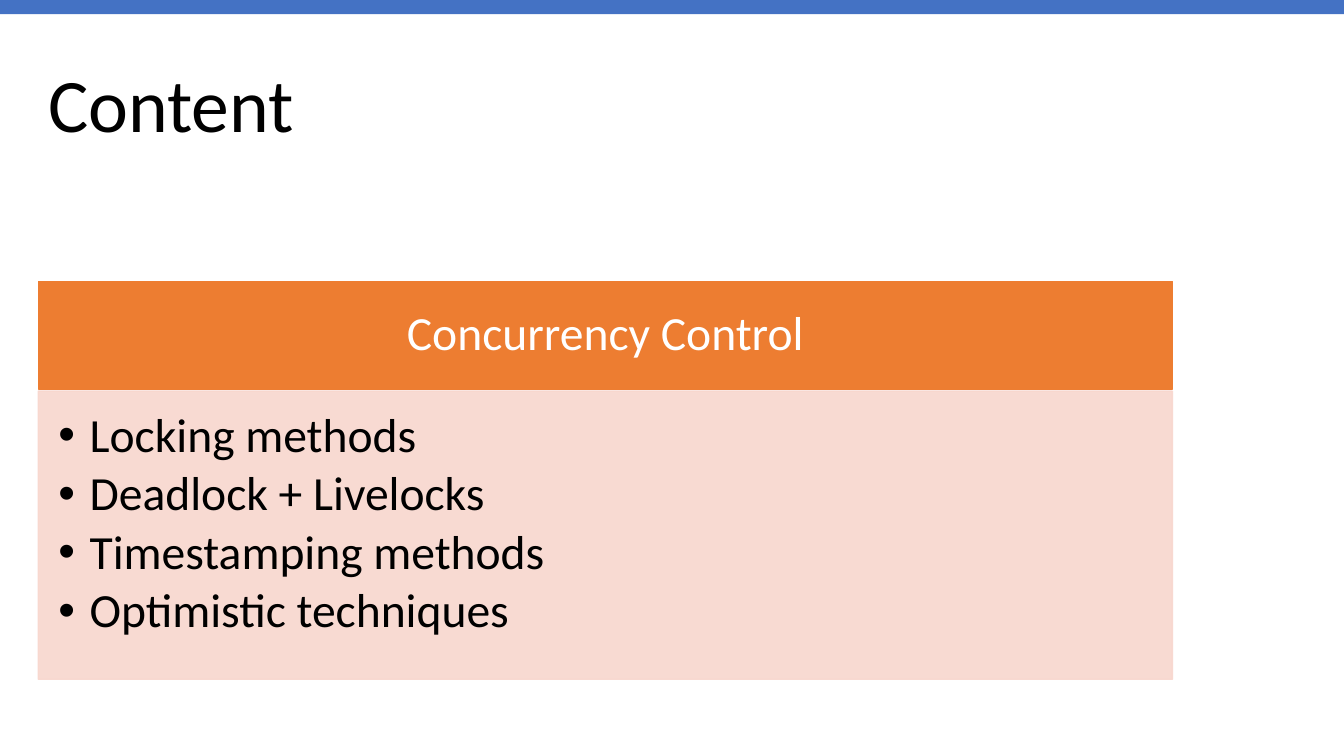
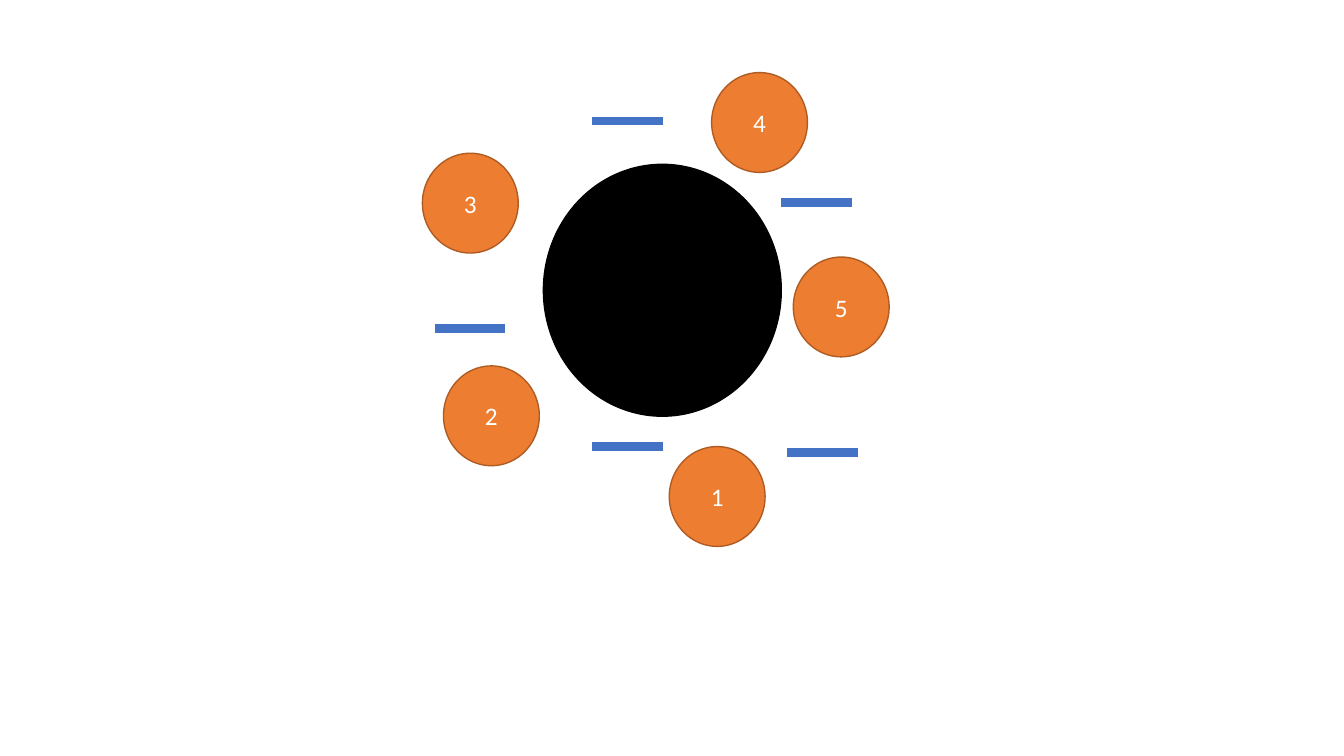
from dataclasses import dataclass

from lxml import etree
from pptx import Presentation
from pptx.dml.color import RGBColor
from pptx.enum.shapes import MSO_CONNECTOR, MSO_SHAPE
from pptx.enum.text import MSO_ANCHOR, PP_ALIGN
from pptx.oxml.ns import qn
from pptx.shapes.autoshape import Shape
from pptx.slide import Slide
from pptx.util import Emu, Inches, Pt

RECTANGLE, OVAL = MSO_SHAPE.RECTANGLE, MSO_SHAPE.OVAL
STRAIGHT = MSO_CONNECTOR.STRAIGHT
TOP, MIDDLE = MSO_ANCHOR.TOP, MSO_ANCHOR.MIDDLE
LEFT, CENTER = PP_ALIGN.LEFT, PP_ALIGN.CENTER

BLACK = RGBColor(0x00, 0x00, 0x00)
WHITE = RGBColor(0xFF, 0xFF, 0xFF)
BLUE = RGBColor(0x44, 0x72, 0xC4)
ORANGE = RGBColor(0xED, 0x7D, 0x31)
DARK_ORANGE = RGBColor(0xAF, 0x5C, 0x24)
PALE_ORANGE = RGBColor(0xF8, 0xD7, 0xCE)

FONT = "Calibri"
SLIDE_WIDTH, SLIDE_HEIGHT = Inches(13.33), Inches(7.5)
BLANK_LAYOUT = 6
LINE_SPACING = 0.9


@dataclass(frozen=True)
class Area:
    """A rectangle in percent of the slide's width and height."""
    left: float
    top: float
    width: float
    height: float

    def box(self) -> tuple[Emu, Emu, Emu, Emu]:
        return (across(self.left), down(self.top),
                across(self.width), down(self.height))


@dataclass(frozen=True)
class TextStyle:
    size: float
    color: RGBColor
    align: PP_ALIGN = LEFT
    anchor: MSO_ANCHOR = MIDDLE
    line_spacing: float = 1.0
    space_after: float = 0
    margins: tuple[float, float, float, float] = (0.1, 0.05, 0.1, 0.05)


@dataclass(frozen=True)
class Seat:
    number: int
    left: float
    top: float


@dataclass(frozen=True)
class Fork:
    left: float
    top: float


TITLE_STYLE = TextStyle(54, BLACK, line_spacing=LINE_SPACING)
HEADER_STYLE = TextStyle(34, WHITE, CENTER, line_spacing=LINE_SPACING,
                         margins=(0.26, 0.15, 0.26, 0.15))
LIST_STYLE = TextStyle(34, BLACK, anchor=TOP, line_spacing=LINE_SPACING,
                       space_after=5.1, margins=(0.2, 0.2, 0.26, 0.3))
SEAT_STYLE = TextStyle(18, WHITE, CENTER)

TOP_BAND = Area(0, 0, 100, 1.87)
TITLE = Area(2.85, 4.67, 93.6, 19.33)
HEADER = Area(2.85, 37.2, 84.38, 14.27)
PANEL = Area(2.85, 51.73, 84.38, 38.13)
TOPICS = ["Locking methods", "Deadlock + Livelocks",
          "Timestamping methods", "Optimistic techniques"]
BULLET_INDENT = Inches(0.31)

ROUND_TABLE = Area(40.43, 21.73, 17.7, 33.33)
SEAT_WIDTH, SEAT_HEIGHT = 7.13, 13.2
SEATS = [Seat(3, 31.43, 20.27), Seat(2, 33, 48.4), Seat(5, 59.03, 34),
         Seat(1, 49.8, 59.07), Seat(4, 52.95, 9.6)]
FORK_LENGTH = 5.27
FORKS = [Fork(32.33, 43.47), Fork(44.03, 16), Fork(58.58, 59.87),
         Fork(58.13, 26.8), Fork(44.03, 59.07)]


def across(percent: float) -> Emu:
    return Emu(round(SLIDE_WIDTH * percent / 100))


def down(percent: float) -> Emu:
    return Emu(round(SLIDE_HEIGHT * percent / 100))


def write(shape: Shape, lines: list[str], style: TextStyle) -> None:
    frame = shape.text_frame
    frame.word_wrap = True
    frame.vertical_anchor = style.anchor
    (frame.margin_left, frame.margin_top,
     frame.margin_right, frame.margin_bottom) = map(Inches, style.margins)
    frame.text = "\n".join(lines)
    for paragraph in frame.paragraphs:
        paragraph.alignment = style.align
        paragraph.line_spacing = style.line_spacing
        paragraph.space_after = Pt(style.space_after)
        for run in paragraph.runs:
            run.font.name = FONT
            run.font.size = Pt(style.size)
            run.font.color.rgb = style.color


def add_bullets(shape: Shape) -> None:
    for paragraph in shape.text_frame.paragraphs:
        properties = paragraph._p.get_or_add_pPr()
        properties.set("marL", str(BULLET_INDENT))
        properties.set("indent", str(-BULLET_INDENT))
        etree.SubElement(properties, qn("a:buFont"), typeface="Arial")
        etree.SubElement(properties, qn("a:buChar"), char="•")


def make_translucent(shape: Shape, opacity: int) -> None:
    """Set the opacity, in percent, of the shape's fill and outline."""
    for color in shape._element.spPr.iter(qn("a:srgbClr")):
        etree.SubElement(color, qn("a:alpha"), val=str(opacity * 1000))


def add_figure(slide: Slide, kind: MSO_SHAPE, area: Area, fill: RGBColor,
               outline: RGBColor | None = None) -> Shape:
    shape = slide.shapes.add_shape(kind, *area.box())
    shape.shadow.inherit = False
    shape.fill.solid()
    shape.fill.fore_color.rgb = fill
    if outline is None:
        shape.line.fill.background()
    else:
        shape.line.color.rgb = outline
        shape.line.width = Pt(1)
    return shape


def add_title(slide: Slide, title: str) -> None:
    write(slide.shapes.add_textbox(*TITLE.box()), [title], TITLE_STYLE)
    add_figure(slide, RECTANGLE, TOP_BAND, BLUE)


def add_fork(slide: Slide, fork: Fork) -> None:
    height = down(fork.top)
    line = slide.shapes.add_connector(
        STRAIGHT, across(fork.left), height,
        across(fork.left + FORK_LENGTH), height)
    line.line.color.rgb = BLUE
    line.line.width = Pt(6)
    etree.SubElement(line._element.spPr, qn("a:effectLst"))


def build_content(slide: Slide) -> None:
    add_title(slide, "Content")
    header = add_figure(slide, RECTANGLE, HEADER, ORANGE, ORANGE)
    write(header, ["Concurrency Control"], HEADER_STYLE)
    panel = add_figure(slide, RECTANGLE, PANEL, PALE_ORANGE, PALE_ORANGE)
    make_translucent(panel, 90)
    write(panel, TOPICS, LIST_STYLE)
    add_bullets(panel)


def build_dining_table(slide: Slide) -> None:
    for seat in SEATS:
        area = Area(seat.left, seat.top, SEAT_WIDTH, SEAT_HEIGHT)
        circle = add_figure(slide, OVAL, area, ORANGE, DARK_ORANGE)
        write(circle, [str(seat.number)], SEAT_STYLE)
    add_figure(slide, OVAL, ROUND_TABLE, BLACK, BLACK)
    for fork in FORKS:
        add_fork(slide, fork)


def main() -> None:
    presentation = Presentation()
    presentation.slide_width = SLIDE_WIDTH
    presentation.slide_height = SLIDE_HEIGHT
    for build in (build_content, build_dining_table):
        build(presentation.slides.add_slide(
            presentation.slide_layouts[BLANK_LAYOUT]))
    presentation.save("out.pptx")


if __name__ == "__main__":
    main()
